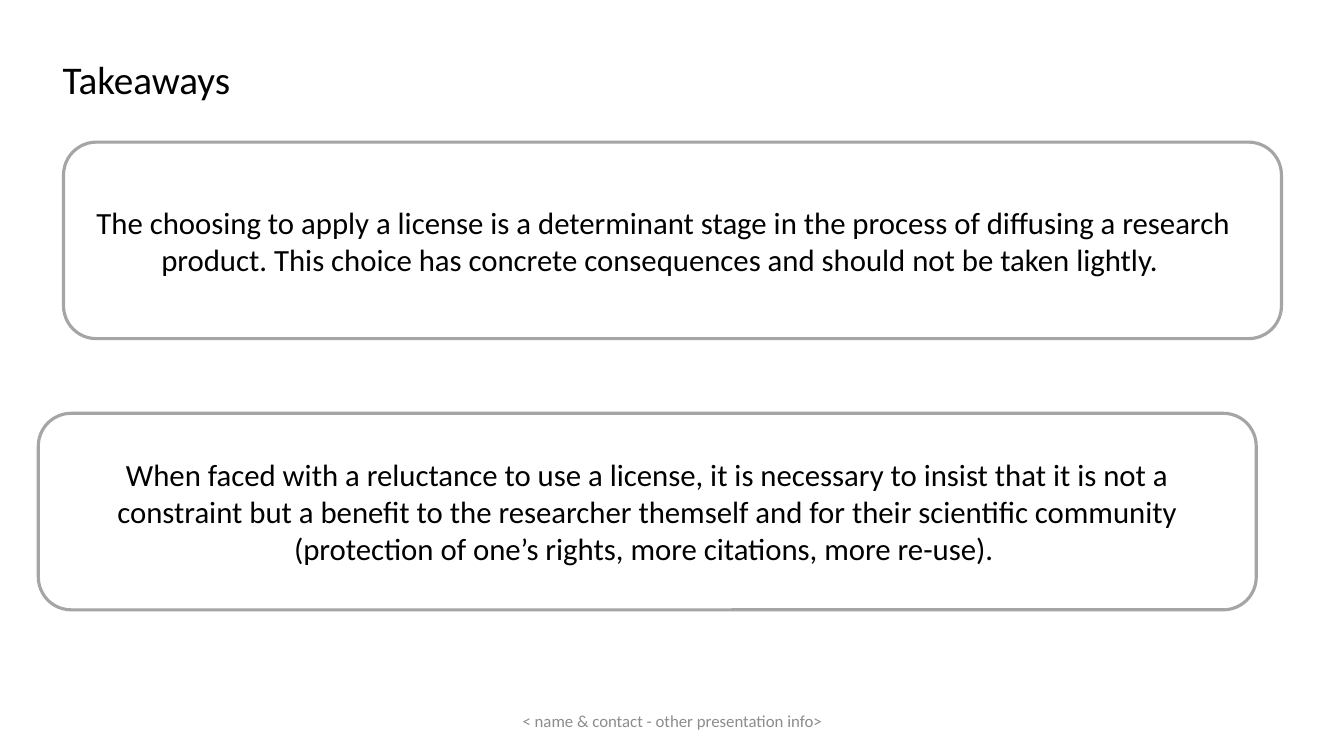
from dataclasses import dataclass
from pptx import Presentation
from pptx.dml.color import RGBColor
from pptx.enum.shapes import MSO_SHAPE
from pptx.enum.text import MSO_ANCHOR, MSO_AUTO_SIZE, PP_ALIGN
from pptx.util import Inches, Pt

TITLE = ("Takeaways", (0.52, 0.5, 1.93, 0.57))
FOOTER = ("< name & contact - other presentation info>", (4.42, 6.95, 4.5, 0.4))
TAKEAWAYS = [
    {
        "text": "The choosing to apply a license is a determinant stage in the process of "
                "diffusing a research product. This choice has concrete consequences and "
                "should not be taken lightly. ",
        "text_area": (0.41, 1.97, 12.34, 0.83),
        "frame_corner": (0.63, 1.41),
    },
    {
        "text": "When faced with a reluctance to use a license, it is necessary to insist that "
                "it is not a constraint but a benefit to the researcher themself and for their "
                "scientific community (protection of one’s rights, more citations, more re-use). ",
        "text_area": (0.86, 4.47, 11.12, 1.2),
        "frame_corner": (0.38, 4.1),
    },
]
FRAME_SIZE = (12.08, 1.95)


@dataclass(frozen=True)
class Theme:
    """Colours, font and type sizes of the slide."""
    font: str = "Calibri"
    text: RGBColor = RGBColor(0x00, 0x00, 0x00)
    muted: RGBColor = RGBColor(0x8C, 0x8C, 0x8C)
    border: RGBColor = RGBColor(0xA5, 0xA5, 0xA5)
    title_size: int = 28
    body_size: int = 22
    footer_size: int = 12
    border_width: float = 2.25
    corner: float = 0.167


THEME = Theme()


def set_attributes(target, values):
    """Set each named attribute on the target."""
    for name, value in values.items():
        setattr(target, name, value)


def place(shape, area):
    """Move and size a shape to an area in inches."""
    set_attributes(shape, dict(zip(("left", "top", "width", "height"), map(Inches, area))))


def write(shape, text, size, color, alignment=PP_ALIGN.CENTER, anchor=MSO_ANCHOR.TOP, wrap=True):
    """Write one formatted paragraph into a shape."""
    frame = shape.text_frame
    set_attributes(frame, {
        "text": text, "word_wrap": wrap,
        "auto_size": MSO_AUTO_SIZE.NONE, "vertical_anchor": anchor,
    })
    paragraph = frame.paragraphs[0]
    paragraph.alignment = alignment
    set_attributes(paragraph.runs[0].font, {"name": THEME.font, "size": Pt(size)})
    paragraph.runs[0].font.color.rgb = color


def add_text(slide, text, area, size, color, **layout):
    """Add a text box with one paragraph."""
    write(slide.shapes.add_textbox(*map(Inches, area)), text, size, color, **layout)


def add_frame(slide, corner):
    """Add a rounded outline at the given corner."""
    frame = slide.shapes.add_shape(MSO_SHAPE.ROUNDED_RECTANGLE, *map(Inches, corner + FRAME_SIZE))
    frame.adjustments[0] = THEME.corner
    frame.shadow.inherit = False
    frame.fill.background()
    frame.line.color.rgb = THEME.border
    frame.line.width = Pt(THEME.border_width)


def main():
    """Build and save the slide."""
    presentation = Presentation()
    set_attributes(presentation, {"slide_width": Inches(13.33), "slide_height": Inches(7.5)})
    slide = presentation.slides.add_slide(presentation.slide_layouts[5])

    title_text, title_area = TITLE
    title = slide.shapes.title
    place(title, title_area)
    write(title, title_text, THEME.title_size, THEME.text, alignment=PP_ALIGN.LEFT, wrap=False)

    for takeaway in TAKEAWAYS:
        add_text(slide, takeaway["text"], takeaway["text_area"], THEME.body_size, THEME.text)
        add_frame(slide, takeaway["frame_corner"])

    add_text(slide, *FOOTER, THEME.footer_size, THEME.muted, anchor=MSO_ANCHOR.MIDDLE)
    presentation.save("out.pptx")


if __name__ == "__main__":
    main()
